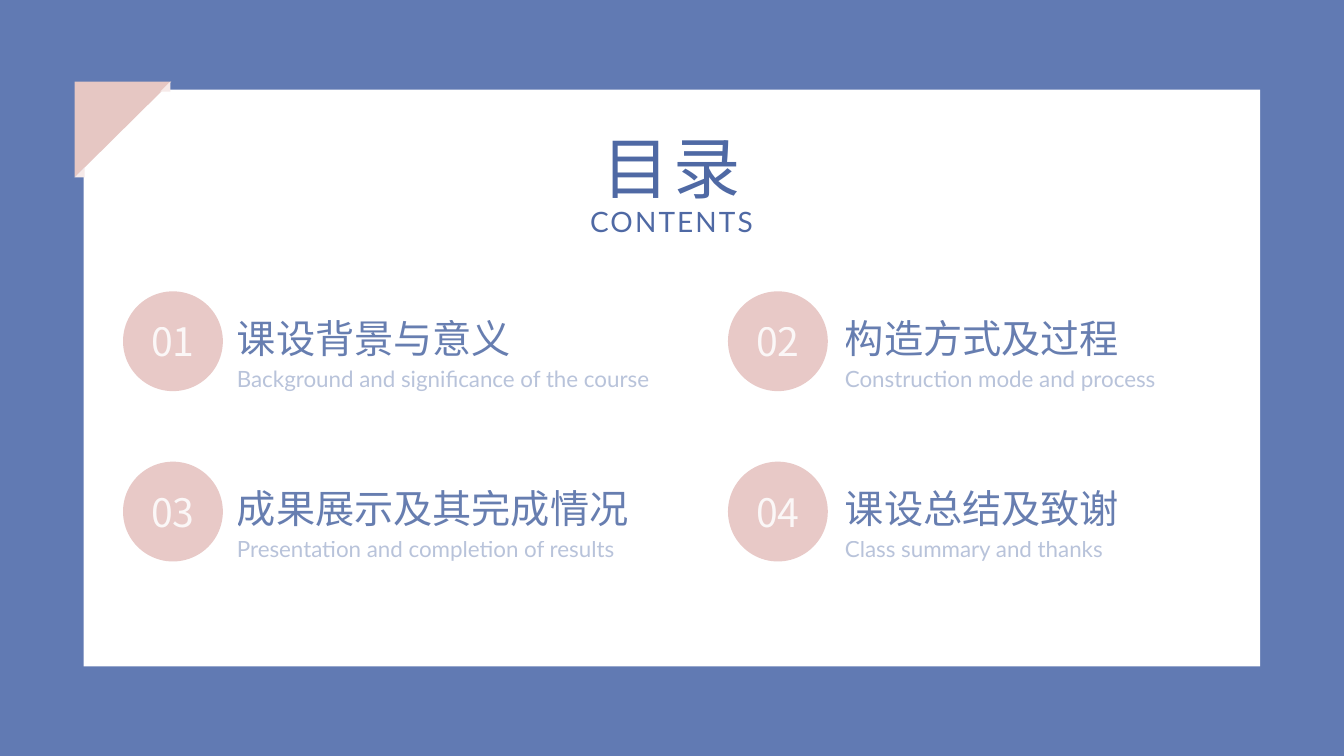
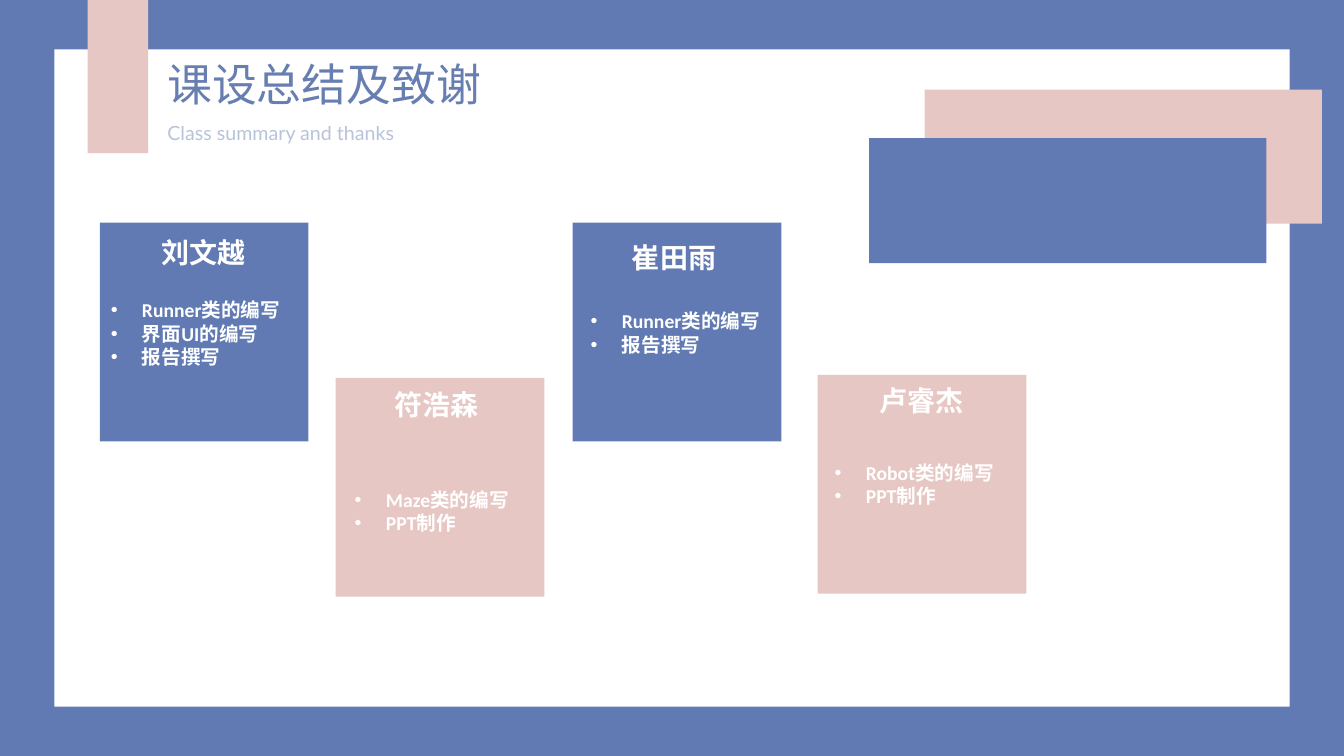
import pptx
import pptx.util
import pptx.dml.color
import pptx.enum.shapes
import pptx.enum.text
import pptx.oxml.ns
import lxml.etree

Inches, Pt = pptx.util.Inches, pptx.util.Pt
KIND = pptx.enum.shapes.MSO_SHAPE
ALIGN = pptx.enum.text.PP_ALIGN
ANCHOR = pptx.enum.text.MSO_ANCHOR
qn = pptx.oxml.ns.qn

# Shared look
BLUE, INK, WHITE = "617AB3", "4F69A4", "FFFFFF"
PINK, ROSE, FOLD = "E6C7C3", "E8C9C7", "F6EAE9"
HAN, LATO, BODY = "Noto Sans CJK SC", "Lato", "Calibri"


def paint(fmt, code, alpha=100):
    """Give a fill a solid colour, with optional opacity in percent."""
    fmt.solid()
    fmt.fore_color.rgb = pptx.dml.color.RGBColor.from_string(code)
    if alpha < 100:
        for clr in fmt._xPr.iter(qn("a:srgbClr")):
            lxml.etree.SubElement(clr, qn("a:alpha"), val=str(alpha * 1000))


def finish(shape, code):
    shape.shadow.inherit = False
    paint(shape.fill, code)
    shape.line.fill.background()
    return shape


def block(slide, box, code, kind=KIND.RECTANGLE):
    return finish(slide.shapes.add_shape(kind, *map(Inches, box)), code)


def poly(slide, points, code):
    first, *rest = [(Inches(x), Inches(y)) for x, y in points]
    form = slide.shapes.build_freeform(*first, scale=1.0)
    form.add_line_segments(rest, close=True)
    return finish(form.convert_to_shape(), code)


def add_run(par, text, size, font, code, alpha=100, bold=False, track=0):
    run = par.add_run()
    run.text = text
    run.font.size, run.font.name, run.font.bold = Pt(size), font, bold
    paint(run.font.fill, code, alpha)
    props = run._r.get_or_add_rPr()
    lxml.etree.SubElement(props, qn("a:ea"), typeface=HAN)
    if track:
        props.set("spc", str(int(track * 100)))


def setup(frame, pad=(0, 0), anchor=ANCHOR.TOP):
    frame.word_wrap = True
    frame.auto_size = pptx.enum.text.MSO_AUTO_SIZE.NONE
    frame.vertical_anchor = anchor
    frame.margin_left = frame.margin_right = Inches(pad[0])
    frame.margin_top = frame.margin_bottom = Inches(pad[1])
    return frame


def fill_line(frame, text, size, font, code, lead=None, align=ALIGN.LEFT, **look):
    par = frame.paragraphs[0]
    par.alignment = align
    if lead:
        par.line_spacing = Pt(lead)
    add_run(par, text, size, font, code, **look)


def label(slide, box, *words, pad=(0, 0), **look):
    area = slide.shapes.add_textbox(*map(Inches, box))
    fill_line(setup(area.text_frame, pad), *words, **look)


def head(slide, box, *words, **look):
    title = slide.shapes.title
    title.left, title.top, title.width, title.height = map(Inches, box)
    title.element.getparent().append(title.element)  # in front of the panel
    fill_line(setup(title.text_frame), *words, **look)


def bullets(slide, box, items):
    area = slide.shapes.add_textbox(*map(Inches, box))
    frame = setup(area.text_frame, (0.1, 0.05))
    for i, item in enumerate(items):
        par = frame.add_paragraph() if i else frame.paragraphs[0]
        props = par._p.get_or_add_pPr()
        props.set("marL", str(Inches(0.31)))
        props.set("indent", str(-Inches(0.31)))
        lxml.etree.SubElement(props, qn("a:buFont"), typeface="Arial")
        lxml.etree.SubElement(props, qn("a:buChar"), char="•")
        add_run(par, item, 14, BODY, WHITE, bold=True)


def new_slide(deck, panel):
    slide = deck.slides.add_slide(deck.slide_layouts[5])
    block(slide, panel, WHITE)
    return slide


def contents(deck):
    slide = new_slide(deck, (0.83, 0.89, 11.67, 5.72))
    # Folded corner
    poly(slide, [(0.74, 0.81), (1.7, 0.81), (0.74, 1.76)], PINK)
    poly(slide, [(1.69, 0.91), (1.59, 0.91), (1.69, 0.81)], FOLD)
    poly(slide, [(0.84, 1.76), (0.74, 1.76), (0.84, 1.66)], FOLD)
    # Title
    head(slide, (5.47, 1.25, 2.38, 0.79), "目录", 48, HAN, INK,
         lead=57.6, align=ALIGN.CENTER, track=2.5)
    label(slide, (5.47, 2.03, 2.38, 0.34), "CONTENTS", 20, LATO, INK,
          lead=24, align=ALIGN.CENTER, track=1.5)
    # Chapters, two by two
    topics = [
        ("课设背景与意义", "Background and significance of the course"),
        ("构造方式及过程", "Construction mode and process"),
        ("成果展示及其完成情况", "Presentation and completion of results"),
        ("课设总结及致谢", "Class summary and thanks"),
    ]
    cols = [(1.22, 2.35, 4.73), (7.22, 8.38, 3.77)]
    for i, (name, gloss) in enumerate(topics):
        row, col = divmod(i, 2)
        left, text, wide = cols[col]
        top = 2.89 + row * 1.69
        disc = block(slide, (left, top, 0.99, 0.99), ROSE, KIND.OVAL)
        fill_line(setup(disc.text_frame, anchor=ANCHOR.MIDDLE), f"{i + 1:02}",
                  28, HAN, WHITE, lead=33.6, align=ALIGN.CENTER, alpha=85)
        label(slide, (text, top + 0.23, wide, 0.46), name, 28, HAN, INK,
              lead=33.6, alpha=85)
        label(slide, (text, top + 0.73, wide, 0.27), gloss, 16, LATO, INK,
              lead=19.2, alpha=40)


def thanks(deck):
    slide = new_slide(deck, (0.54, 0.49, 12.25, 6.52))
    # Title with side strip
    block(slide, (0.87, 0, 0.6, 1.52), PINK)
    head(slide, (1.66, 0.63, 4.92, 0.48), "课设总结及致谢", 32, HAN, INK,
         lead=33.6, alpha=85)
    label(slide, (1.66, 1.17, 4.92, 0.52), "Class summary and thanks", 14,
          LATO, INK, lead=19.2, alpha=40)
    # Team cards: corner, colour, name and its place, tasks and their box
    cards = [
        ((0.99, 2.21), BLUE, "刘文越", (1.5, 2.29), (1, 2.91, 1.99, 0.81),
         ["Runner类的编写", "界面UI的编写", "报告撰写"]),
        ((3.33, 3.75), PINK, "符浩森", (3.81, 3.8), (3.42, 4.79, 1.97, 0.57),
         ["Maze类的编写", "PPT制作"]),
        ((5.68, 2.21), BLUE, "崔田雨", (6.17, 2.34), (5.76, 3.02, 1.9, 0.57),
         ["Runner类的编写", "报告撰写"]),
        ((8.11, 3.72), PINK, "卢睿杰", (8.62, 3.76), (8.18, 4.52, 2.01, 0.57),
         ["Robot类的编写", "PPT制作"]),
    ]
    for spot, code, name, place, box, tasks in cards:
        block(slide, (*spot, 2.07, 2.17), code)
        label(slide, (*place, 1.13, 0.44), name, 20, HAN, WHITE,
              pad=(0.1, 0.05), bold=True)
        bullets(slide, box, tasks)
    # Overlapping bands
    block(slide, (9.17, 0.89, 3.94, 1.33), PINK)
    block(slide, (8.62, 1.37, 3.94, 1.24), BLUE)


def main():
    deck = pptx.Presentation()
    deck.slide_width, deck.slide_height = Inches(13.33), Inches(7.5)
    paint(deck.slide_master.background.fill, BLUE)
    contents(deck)
    thanks(deck)
    deck.save("out.pptx")


if __name__ == "__main__":
    main()
